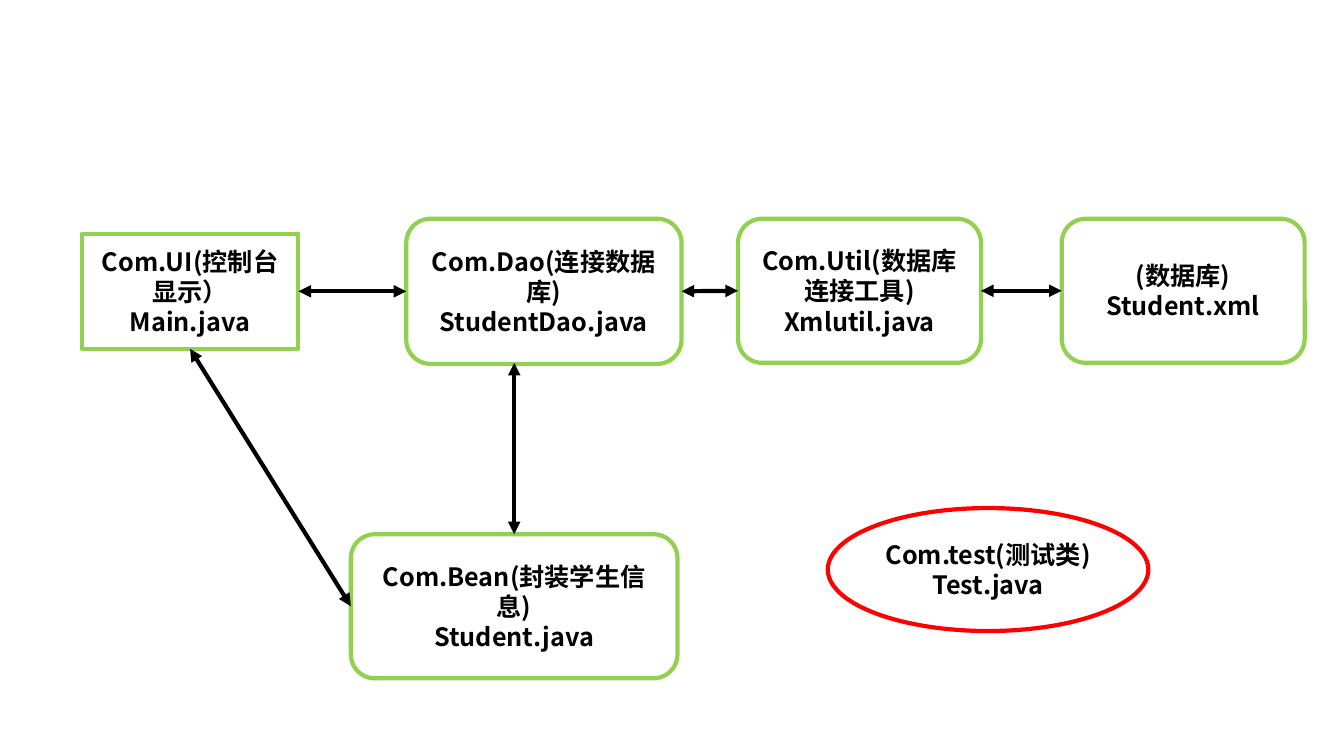
from dataclasses import dataclass

from lxml import etree
from pptx import Presentation
from pptx.dml.color import RGBColor
from pptx.enum.shapes import MSO_CONNECTOR, MSO_SHAPE
from pptx.enum.text import MSO_ANCHOR, PP_ALIGN
from pptx.oxml.ns import qn
from pptx.util import Emu, Pt

RECT = MSO_SHAPE.RECTANGLE
ROUND = MSO_SHAPE.ROUNDED_RECTANGLE
OVAL = MSO_SHAPE.OVAL
LINE = MSO_CONNECTOR.STRAIGHT
MIDDLE = MSO_ANCHOR.MIDDLE
CENTER = PP_ALIGN.CENTER
TOP, LEFT, BOTTOM, RIGHT = range(4)
SCALE = 9144


def px(n):
    """Turn px, 100 to the inch, into EMU."""
    return Emu(n * SCALE)


@dataclass(frozen=True)
class Theme:
    """Colours, font and sizes of the diagram."""
    ink: RGBColor = RGBColor(0, 0, 0)
    green: RGBColor = RGBColor(0x92, 0xD0, 0x50)
    red: RGBColor = RGBColor(0xFF, 0, 0)
    font: str = "Noto Sans CJK SC"
    size: Pt = Pt(18)
    width: Pt = Pt(3)


class Chart:
    """Draws the parts of the diagram on one slide."""

    def __init__(self, slide, theme):
        """Keep the slide and its theme."""
        self.slide = slide
        self.theme = theme

    def label(self, para, text):
        """Add one bold run to a paragraph."""
        run = para.add_run()
        run.text = text
        font = run.font
        font.name = self.theme.font
        font.size = self.theme.size
        font.bold = True
        font.color.rgb = self.theme.ink
        east = etree.SubElement(font._element, qn("a:ea"))
        east.set("typeface", self.theme.font)

    def box(self, kind, area, color, lines):
        """Add an outlined shape with centred lines of text."""
        shape = self.slide.shapes.add_shape(kind, *map(px, area))
        shape.shadow.inherit = False
        shape.fill.background()
        shape.line.color.rgb = color
        shape.line.width = self.theme.width
        frame = shape.text_frame
        frame.word_wrap = True
        frame.vertical_anchor = MIDDLE
        for i, text in enumerate(lines):
            para = frame.add_paragraph() if i else frame.paragraphs[0]
            para.alignment = CENTER
            self.label(para, text)
        return shape

    def link(self, end, side, start=None, out=RIGHT, point=(0, 0)):
        """Add a two-headed arrow from a shape or a free point."""
        x, y = map(px, point)
        arrow = self.slide.shapes.add_connector(LINE, x, y, x, y)
        if start is not None:
            arrow.begin_connect(start, out)
        arrow.end_connect(end, side)
        arrow.line.color.rgb = self.theme.ink
        arrow.line.width = self.theme.width
        stroke = arrow.line._get_or_add_ln()
        for tag in ("a:headEnd", "a:tailEnd"):
            etree.SubElement(stroke, qn(tag)).set("type", "triangle")
        etree.SubElement(arrow._element.spPr, qn("a:effectLst"))


def main():
    """Build and save the class diagram."""
    deck = Presentation()
    deck.slide_width, deck.slide_height = px(1333), px(750)
    theme = Theme()
    chart = Chart(deck.slides.add_slide(deck.slide_layouts[6]), theme)
    green = theme.green

    view = chart.box(RECT, (81, 232, 215, 114), green,
                     ("Com.UI(控制台显示）", "Main.java"))
    dao = chart.box(ROUND, (403, 217, 273, 144), green,
                    ("Com.Dao(连接数据库)", "StudentDao.java"))
    bean = chart.box(ROUND, (348, 530, 324, 143), green,
                     ("Com.Bean(封装学生信息)", "Student.java"))
    util = chart.box(ROUND, (732, 217, 241, 143), green,
                     ("Com.Util(数据库连接工具)", "Xmlutil.java"))
    data = chart.box(ROUND, (1053, 217, 241, 143), green,
                     ("(数据库)", "Student.xml"))
    chart.box(OVAL, (821, 504, 318, 122), theme.red,
              ("Com.test(测试类)", "Test.java"))

    row = (view, dao, util, data)
    for start, end in zip(row, row[1:]):
        chart.link(end, LEFT, start)
    chart.link(bean, LEFT, view, BOTTOM)
    chart.link(bean, TOP, point=(510, 360))
    deck.save("out.pptx")


if __name__ == "__main__":
    main()
